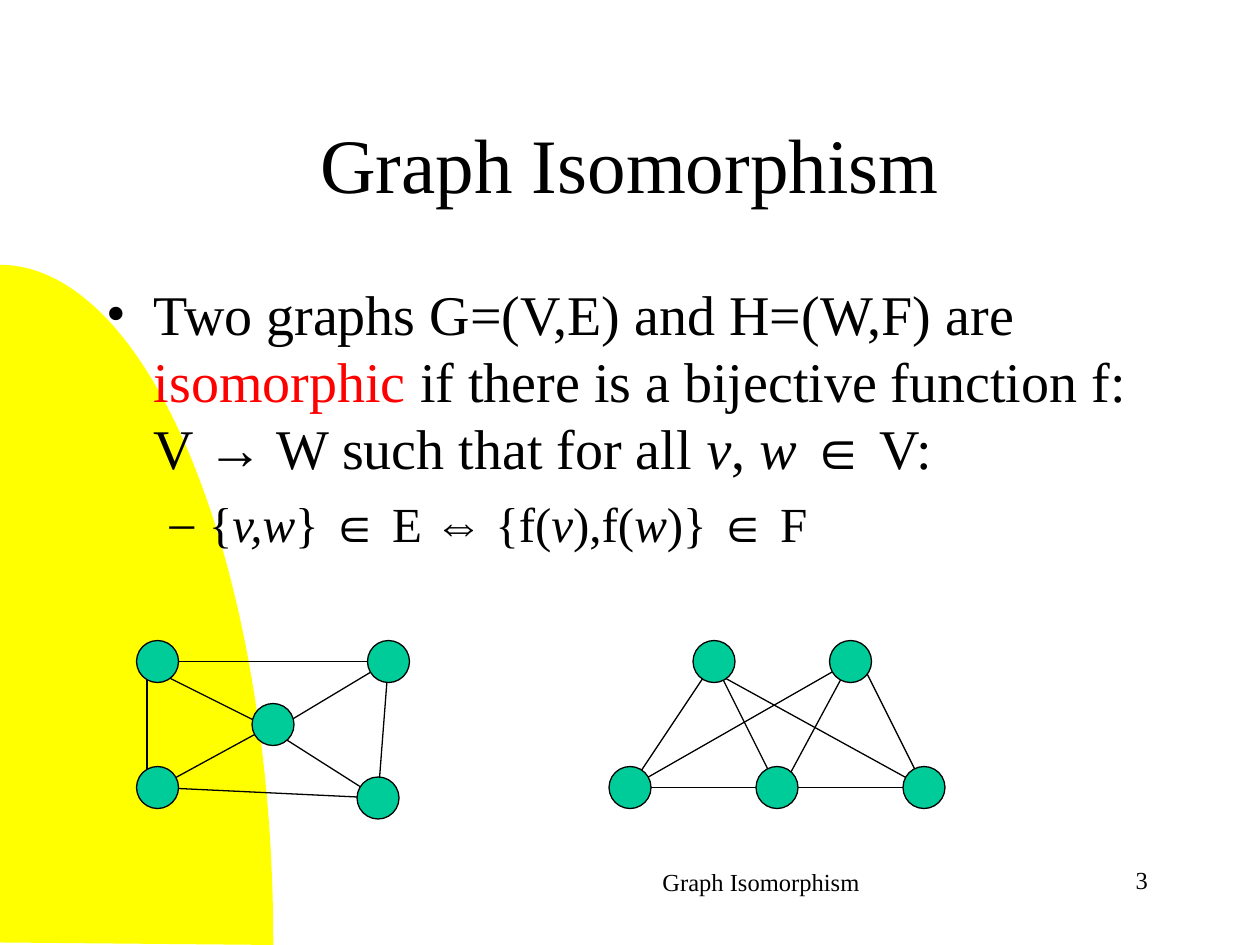
"""Build the graph isomorphism slide."""
from math import cos, radians, sin

from lxml.etree import SubElement
from pptx import Presentation
from pptx.dml.color import RGBColor
from pptx.enum.shapes import MSO_CONNECTOR as Connector, MSO_SHAPE as Shape
from pptx.enum.text import MSO_ANCHOR as Anchor, PP_ALIGN as Align
from pptx.oxml.ns import qn
from pptx.util import Cm, Pt

BLACK = RGBColor(0x00, 0x00, 0x00)
RED = RGBColor(0xFF, 0x00, 0x00)
YELLOW = RGBColor(0xFF, 0xFF, 0x00)
GREEN = RGBColor(0x00, 0xCC, 0x99)
SERIF, SYMBOLS = "Times New Roman", "Arial"
PLAIN = (SERIF, False, BLACK)
ITALIC = (SERIF, True, BLACK)
SYMBOL = (SYMBOLS, False, BLACK)
KEYWORD = (SERIF, False, RED)

LABELS = [
    ("Graph Isomorphism", 14, Align.RIGHT, Anchor.TOP, (8.05, 17.35, 9.53, 1.27)),
    ("3", 14, Align.RIGHT, Anchor.TOP, (18.11, 17.32, 5.28, 1.27)),
    ("Graph Isomorphism", 44, Align.CENTER, Anchor.MIDDLE, (1.9, 1.7, 21.59, 3.18)),
]
BODY_BOX = (1.9, 5.51, 21.59, 11.43)
BODY = [
    {"size": 32, "before": 8, "margin": 0.95, "hang": 0.95, "bullet": "•", "runs": [
        ("Two graphs G=(V,E) and H=(W,F) are ", PLAIN), ("isomorphic", KEYWORD),
        (" if there is a bijective function f: V ", PLAIN), ("→", SYMBOL),
        (" W such that for all ", PLAIN), ("v", ITALIC), (", ", PLAIN),
        ("w ", ITALIC), ("∈", SYMBOL), (" V:", PLAIN)]},
    {"size": 28, "before": 7, "margin": 2.06, "hang": 0.79, "bullet": "–", "runs": [
        ("{", PLAIN), ("v,w", ITALIC), ("} ", PLAIN), ("∈", SYMBOL), (" E ", PLAIN),
        ("⇔", SYMBOL), (" {f(", PLAIN), ("v", ITALIC), ("),f(", PLAIN),
        ("w", ITALIC), (")} ", PLAIN), ("∈", SYMBOL), (" F ", PLAIN)]},
]

GRID = Cm(2.54) / 12
NODE_SIZE = 4
NODES = [(15, 63), (15, 75), (26, 69), (37, 63), (36, 76),
         (68, 63), (81, 63), (60, 75), (74, 75), (88, 75)]
EDGES = [
    (81, 63, 60, 75), (68, 64, 88, 75), (82, 63, 88, 75), (81, 63, 74, 76),
    (68, 63, 74, 75), (68, 63, 60, 75), (59, 75, 88, 75),
    (25, 69, 36, 76), (37, 63, 27, 69), (15, 75, 36, 76), (37, 63, 36, 76),
    (15, 64, 25, 69), (15, 75, 26, 69), (14, 63, 14, 75), (15, 63, 37, 63),
]
ARC_WIDTH, ARC_HEIGHT, ARC_BASE, SLIDE_BOTTOM = 5.51, 13.66, 19.0, 19.05


def on_grid(*values):
    return [round(value * GRID) for value in values]


def add_run(paragraph, text, size, style):
    run = paragraph.add_run()
    run.text = text
    run.font.size = Pt(size)
    run.font.name, run.font.italic, run.font.color.rgb = style


def add_text_frame(slide, box):
    frame = slide.shapes.add_textbox(*map(Cm, box)).text_frame
    frame.word_wrap = True
    return frame


def add_label(slide, text, size, alignment, anchor, box):
    frame = add_text_frame(slide, box)
    frame.vertical_anchor = anchor
    paragraph = frame.paragraphs[0]
    paragraph.alignment = alignment
    add_run(paragraph, text, size, PLAIN)


def add_body(slide):
    frame = add_text_frame(slide, BODY_BOX)
    for index, item in enumerate(BODY):
        paragraph = frame.add_paragraph() if index else frame.paragraphs[0]
        paragraph.level = index
        paragraph.space_before = Pt(item["before"])
        properties = paragraph._p.get_or_add_pPr()
        properties.set("marL", str(Cm(item["margin"])))
        properties.set("indent", str(-Cm(item["hang"])))
        color = SubElement(properties, qn("a:buClr"))
        SubElement(color, qn("a:srgbClr"), val=str(BLACK))
        SubElement(properties, qn("a:buFont"), typeface=SERIF)
        SubElement(properties, qn("a:buChar"), char=item["bullet"])
        for text, style in item["runs"]:
            add_run(paragraph, text, item["size"], style)


def add_backdrop(slide):
    arc = [(Cm(ARC_WIDTH * sin(radians(angle))),
            Cm(ARC_BASE - ARC_HEIGHT * cos(radians(angle))))
           for angle in range(0, 91)]
    outline = arc[1:] + [(Cm(ARC_WIDTH), Cm(SLIDE_BOTTOM)), (0, Cm(ARC_BASE))]
    builder = slide.shapes.build_freeform(*arc[0])
    builder.add_line_segments(outline, close=True)
    backdrop = builder.convert_to_shape()
    backdrop.shadow.inherit = False
    backdrop.fill.solid()
    backdrop.fill.fore_color.rgb = YELLOW
    backdrop.line.fill.background()


def set_line(shape):
    shape.line.color.rgb = BLACK
    shape.line.width = Pt(0.74)


def add_edge(slide, ends):
    edge = slide.shapes.add_connector(Connector.STRAIGHT, *on_grid(*ends))
    set_line(edge)
    SubElement(edge._element.spPr, qn("a:effectLst"))


def add_node(slide, x, y):
    corner = (x - NODE_SIZE / 2, y - NODE_SIZE / 2)
    node = slide.shapes.add_shape(Shape.OVAL, *on_grid(*corner, NODE_SIZE, NODE_SIZE))
    node.shadow.inherit = False
    node.fill.solid()
    node.fill.fore_color.rgb = GREEN
    set_line(node)


presentation = Presentation()
presentation.slide_width, presentation.slide_height = Cm(25.4), Cm(19.05)
slide = presentation.slides.add_slide(presentation.slide_layouts[6])
add_backdrop(slide)
for label in LABELS:
    add_label(slide, *label)
for ends in EDGES:
    add_edge(slide, ends)
add_body(slide)
for center in NODES:
    add_node(slide, *center)
presentation.save("out.pptx")
